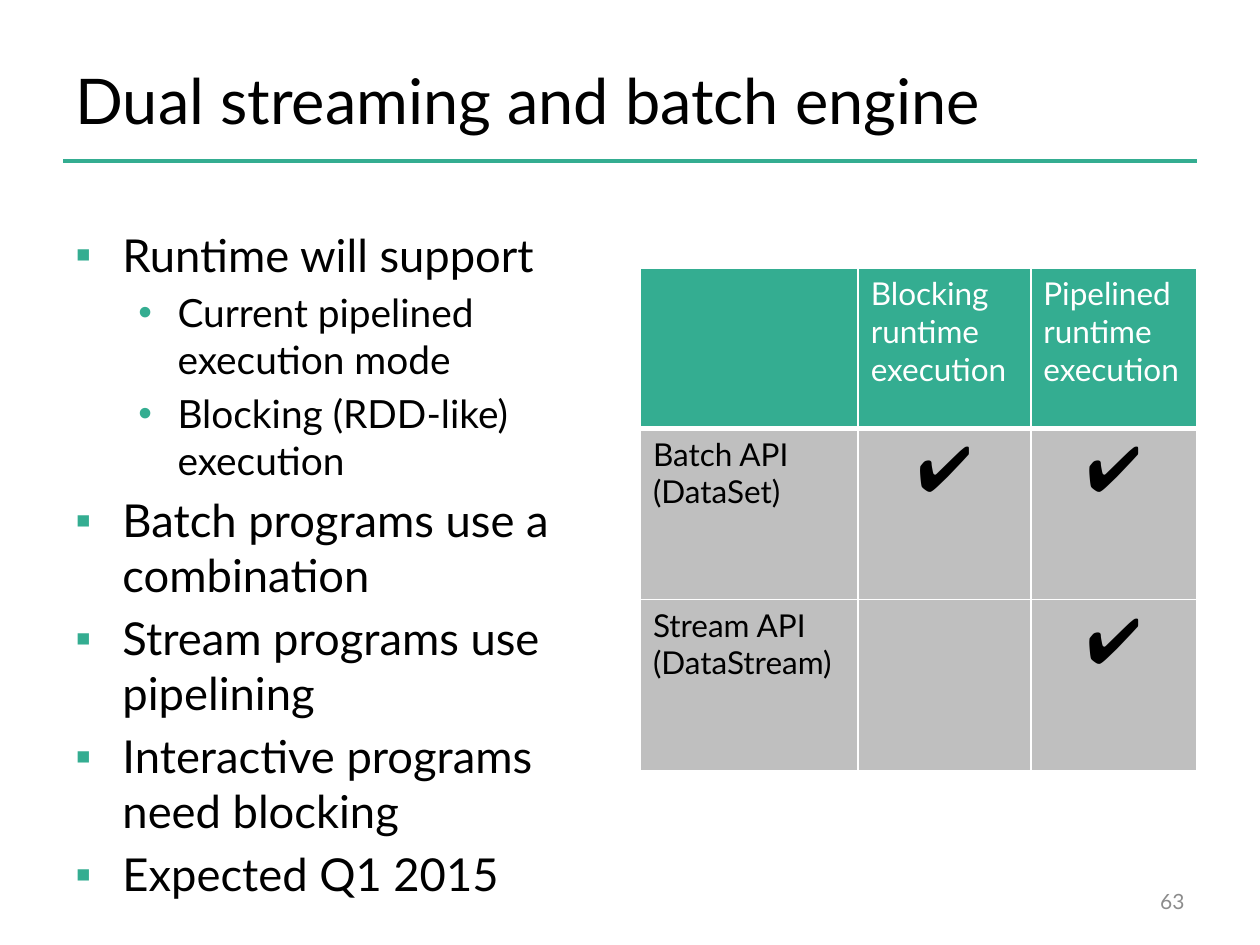
import pptx
import pptx.dml.color
import pptx.enum.shapes
import pptx.enum.text
import pptx.oxml
import pptx.oxml.ns
import pptx.util
from lxml import etree

Cm, Pt = pptx.util.Cm, pptx.util.Pt
ALIGN = pptx.enum.text.PP_ALIGN
ANCHOR = pptx.enum.text.MSO_ANCHOR
GREEN, GREY, BLACK, WHITE = "34AD91", "BFBFBF", "000000", "FFFFFF"

# level: (bullet, left margin cm, hanging indent cm, text size)
LEVELS = {0: ("▪", 0.95, 0.95, 25.9), 1: ("•", 2.06, 0.79, 22.2)}
BULLETS = [
    (0, "Runtime will support"),
    (1, "Current pipelined execution mode"),
    (1, "Blocking (RDD-like) execution"),
    (0, "Batch programs use a combination"),
    (0, "Stream programs use pipelining"),
    (0, "Interactive programs need blocking"),
    (0, "Expected Q1 2015"),
]
CELLS = [
    ["", "Blocking\nruntime\nexecution", "Pipelined\nruntime execution"],
    ["Batch API (DataSet)", "✔", "✔"],
    ["Stream API (DataStream)", "", "✔"],
]


def rgb(value):
    return pptx.dml.color.RGBColor.from_string(value)


def add_run(p, text, size, color=BLACK, font="Lato"):
    r = p.add_run()
    r.text = text
    for name, value in {"size": Pt(size), "name": font, "bold": False}.items():
        setattr(r.font, name, value)
    r.font.color.rgb = rgb(color)


def add_child(parent, tag, **attributes):
    return etree.SubElement(parent, pptx.oxml.ns.qn(tag), attributes)


def add_title(s, text, left, top, width, height):
    """Title with a rule along the bottom of its box."""
    rule = s.shapes.add_connector(
        pptx.enum.shapes.MSO_CONNECTOR.STRAIGHT,
        left, top + height, left + width, top + height)
    rule.line.color.rgb = rgb(GREEN)
    rule.line.width = Pt(2)
    add_child(rule._element.spPr, "a:effectLst")
    sp = s.shapes.title
    sp.left, sp.top, sp.width, sp.height = left, top, width, height
    tf = sp.text_frame
    tf.vertical_anchor = ANCHOR.MIDDLE
    p = tf.paragraphs[0]
    p.alignment = ALIGN.LEFT
    add_run(p, text, 36)


def add_bullets(s, items, left, top, width, height):
    tf = s.shapes.add_textbox(left, top, width, height).text_frame
    tf.word_wrap = True
    for i, (level, text) in enumerate(items):
        p = tf.add_paragraph() if i else tf.paragraphs[0]
        char, margin, hanging, size = LEVELS[level]
        p.level = level
        pPr = p._p.get_or_add_pPr()
        pPr.set("marL", str(Cm(margin)))
        pPr.set("indent", str(-Cm(hanging)))
        add_child(add_child(pPr, "a:buClr"), "a:srgbClr", val=GREEN)
        add_child(pPr, "a:buFont", typeface="Arial")
        add_child(pPr, "a:buChar", char=char)
        p.space_before = Pt(0.2 * size if i else 0)
        add_run(p, text, size)


def add_borders(cell, widths):
    tcPr = cell._tc.get_or_add_tcPr()
    for side, width in widths.items():
        ln = add_child(tcPr, f"a:ln{side}", w=str(Pt(width)))
        add_child(add_child(ln, "a:solidFill"), "a:srgbClr", val=WHITE)


def add_support_table(s, rows, left, top, col_widths, row_heights):
    table = s.shapes.add_table(
        len(rows), len(rows[0]), left, top,
        sum(col_widths), sum(row_heights)).table
    table.first_row = table.horz_banding = False
    for column, width in zip(table.columns, col_widths):
        column.width = width
    for i, texts in enumerate(rows):
        table.rows[i].height = row_heights[i]
        for j, text in enumerate(texts):
            cell = table.cell(i, j)
            add_borders(cell, {"L": 1, "R": 1, "T": 3 if i == 1 else 1,
                               "B": 3 if i == 0 else 1})
            cell.fill.solid()
            cell.fill.fore_color.rgb = rgb(GREY if i else GREEN)
            tf = cell.text_frame
            for k, line in enumerate(text.split("\n") if text else []):
                p = tf.add_paragraph() if k else tf.paragraphs[0]
                if line == "✔":
                    p.alignment = ALIGN.CENTER
                    add_run(p, line, 36, font="Arial")
                else:
                    add_run(p, line, 18, BLACK if i else WHITE)


def add_page_number(s, text, left, top, width, height):
    tf = s.shapes.add_textbox(left, top, width, height).text_frame
    tf.word_wrap = True
    tf.vertical_anchor = ANCHOR.MIDDLE
    p = tf.paragraphs[0]
    p.alignment = ALIGN.RIGHT
    add_run(p, text, 12, "8C8C8C")


def main():
    prs = pptx.Presentation()
    prs.slide_width, prs.slide_height = Cm(25.4), Cm(19.05)
    s = prs.slides.add_slide(prs.slide_layouts[5])
    margin = Cm(1.27)
    add_title(s, "Dual streaming and batch engine",
              margin, Cm(0.76), prs.slide_width - 2 * margin, Cm(2.49))
    add_bullets(s, BULLETS, margin, Cm(4.45), Cm(11.23), Cm(12.57))
    add_support_table(s, CELLS, Cm(12.91), Cm(5.41),
                      [Cm(4.39), Cm(3.48), Cm(3.35)],
                      [Cm(3.23), Cm(3.45), Cm(3.45)])
    add_page_number(s, "63", Cm(18.21), Cm(17.65), Cm(5.92), Cm(1.02))
    prs.save("out.pptx")


if __name__ == "__main__":
    main()
